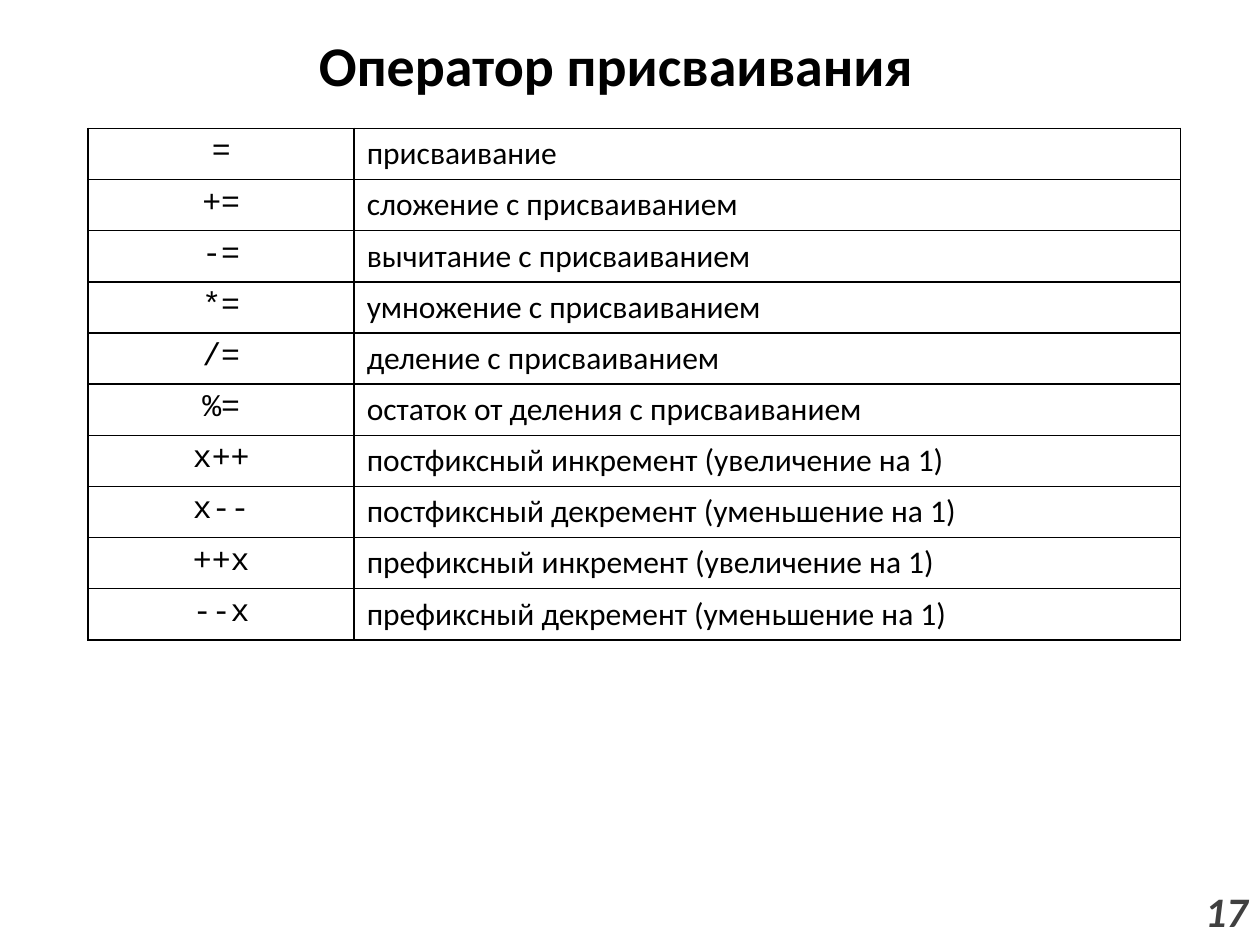
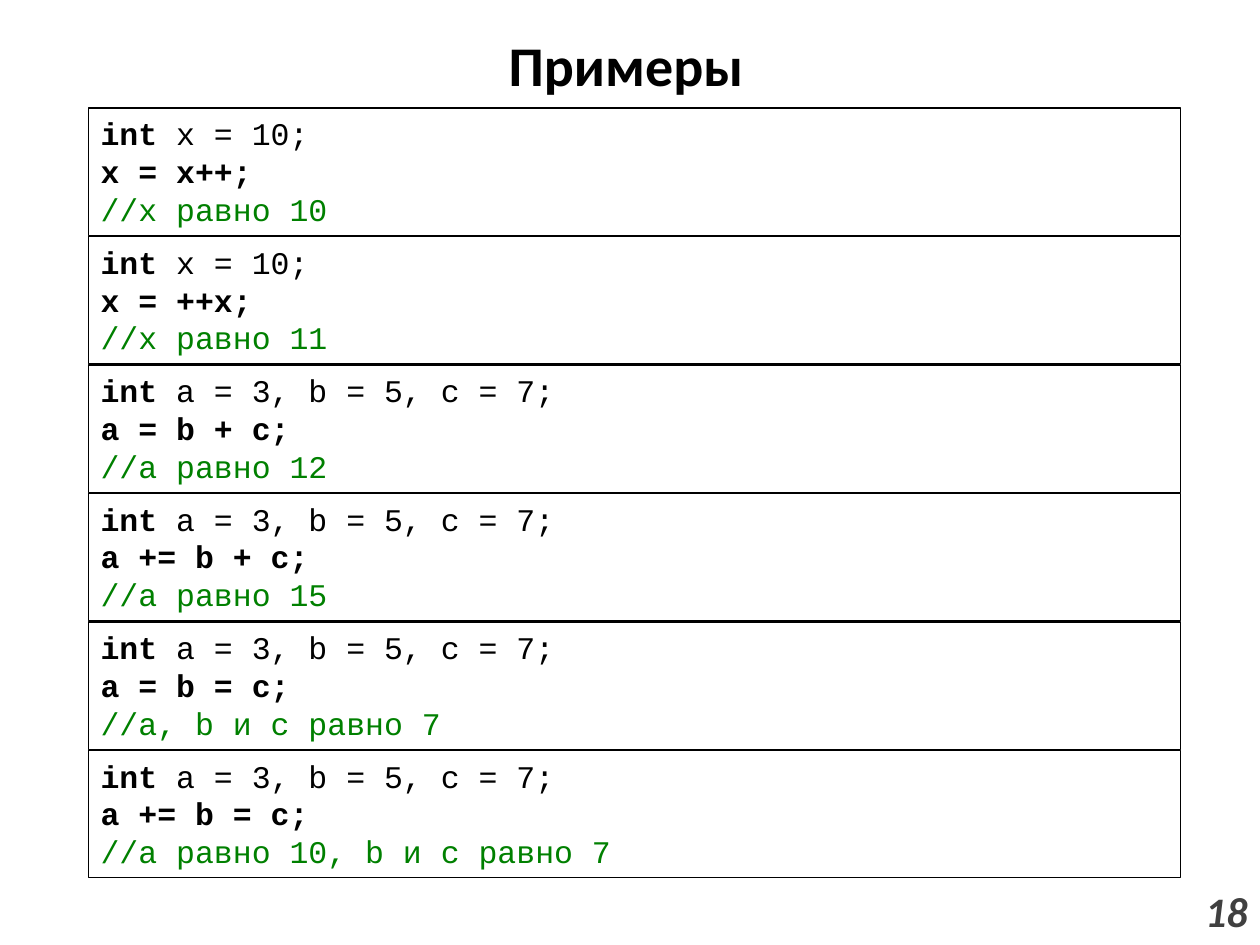
from lxml.etree import SubElement
from pptx import Presentation
from pptx.dml.color import RGBColor
from pptx.enum.shapes import MSO_SHAPE
from pptx.enum.text import MSO_ANCHOR, PP_ALIGN
from pptx.oxml.ns import qn
from pptx.util import Pt

COLORS = {"ink": "000000", "note": "008000", "page": "404040"}
SANS, MONO = "Calibri", "Courier New"
LEFT, WIDTH = 50.4, 624.2
SIGN_W, ROW_H = 152, 29.23
BOX_TOP, BOX_H, BOX_STEP = 61.8, 72.7, 73.4

SIGNS = [
    ("=", "присваивание"),
    ("+=", "сложение с присваиванием"),
    ("-=", "вычитание с присваиванием"),
    ("*=", "умножение с присваиванием"),
    ("/=", "деление с присваиванием"),
    ("%=", "остаток от деления с присваиванием"),
    ("x++", "постфиксный инкремент (увеличение на 1)"),
    ("x--", "постфиксный декремент (уменьшение на 1)"),
    ("++x", "префиксный инкремент (увеличение на 1)"),
    ("--x", "префиксный декремент (уменьшение на 1)"),
]

ONE = " x = 10;"
THREE = " a = 3, b = 5, c = 7;"
CODES = [
    (ONE, "x = x++;", "//x равно 10"),
    (ONE, "x = ++x;", "//x равно 11"),
    (THREE, "a = b + c;", "//a равно 12"),
    (THREE, "a += b + c;", "//a равно 15"),
    (THREE, "a = b = c;", "//a, b и c равно 7"),
    (THREE, "a += b = c;", "//a равно 10, b и c равно 7"),
]


def color(name):
    """Look up a colour by its name."""
    return RGBColor.from_string(COLORS[name])


def style(font, face, size, ink="ink", bold=False, italic=False):
    """Set all properties of a font."""
    font.name, font.size = face, Pt(size)
    font.bold, font.italic = bold, italic
    font.color.rgb = color(ink)


def add_text(slide, text, area, align, *look):
    """Add one line of text, centred in height."""
    frame = slide.shapes.add_textbox(*map(Pt, area)).text_frame
    frame.word_wrap = True
    frame.vertical_anchor = MSO_ANCHOR.MIDDLE
    para = frame.paragraphs[0]
    para.text, para.alignment = text, align
    style(para.font, *look)


def add_page(deck, title, left, number):
    """Add a slide with its title and page number."""
    slide = deck.slides.add_slide(deck.slide_layouts[6])
    add_text(slide, title, (left, 0, 648, 73.4), PP_ALIGN.CENTER,
             SANS, 32, "ink", True)
    add_text(slide, str(number), (652.3, 500.4, 67.7, 39.6), PP_ALIGN.RIGHT,
             SANS, 24, "page", True, True)
    return slide


def add_border(cell):
    """Draw a thin line on all four sides of a cell."""
    props = cell._tc.get_or_add_tcPr()
    for side in ("lnL", "lnR", "lnT", "lnB"):
        line = SubElement(props, qn("a:" + side), w=str(Pt(1)))
        fill = SubElement(line, qn("a:solidFill"))
        SubElement(fill, qn("a:srgbClr"), val=COLORS["ink"])


def add_signs(slide):
    """Add the table of operators."""
    table = slide.shapes.add_table(
        len(SIGNS), 2, Pt(LEFT), Pt(73.4), Pt(WIDTH),
        Pt(ROW_H * len(SIGNS))).table
    table.first_row = table.horz_banding = False
    for col, width in zip(table.columns, (SIGN_W, WIDTH - SIGN_W)):
        col.width = Pt(width)
    looks = ((MONO, PP_ALIGN.CENTER), (SANS, PP_ALIGN.LEFT))
    for row, texts in zip(table.rows, SIGNS):
        row.height = Pt(ROW_H)
        for cell, text, (face, align) in zip(row.cells, texts, looks):
            add_border(cell)
            cell.fill.background()
            para = cell.text_frame.paragraphs[0]
            para.text, para.alignment = text, align
            style(para.font, face, 18)


def add_code(slide, top, setup, step, note):
    """Add a framed code sample of three lines."""
    box = slide.shapes.add_shape(
        MSO_SHAPE.RECTANGLE, Pt(LEFT), Pt(top), Pt(WIDTH), Pt(BOX_H))
    box.shadow.inherit = False
    box.fill.background()
    box.line.color.rgb = color("ink")
    box.line.width = Pt(0.75)
    frame = box.text_frame
    frame.word_wrap = True
    frame.vertical_anchor = MSO_ANCHOR.TOP
    lines = (
        [("int", "ink", True), (setup, "ink", False)],
        [(step, "ink", True)],
        [(note, "note", False)],
    )
    for i, parts in enumerate(lines):
        para = frame.add_paragraph() if i else frame.paragraphs[0]
        para.alignment = PP_ALIGN.LEFT
        for text, ink, bold in parts:
            run = para.add_run()
            run.text = text
            style(run.font, MONO, 18, ink, bold)


def main():
    """Build both slides and save the deck."""
    deck = Presentation()
    deck.slide_width, deck.slide_height = Pt(720), Pt(540)
    add_signs(add_page(deck, "Оператор присваивания", 28.1, 17))
    slide = add_page(deck, "Примеры", 33.8, 18)
    for i, code in enumerate(CODES):
        add_code(slide, BOX_TOP + i * BOX_STEP, *code)
    deck.save("out.pptx")


main()
